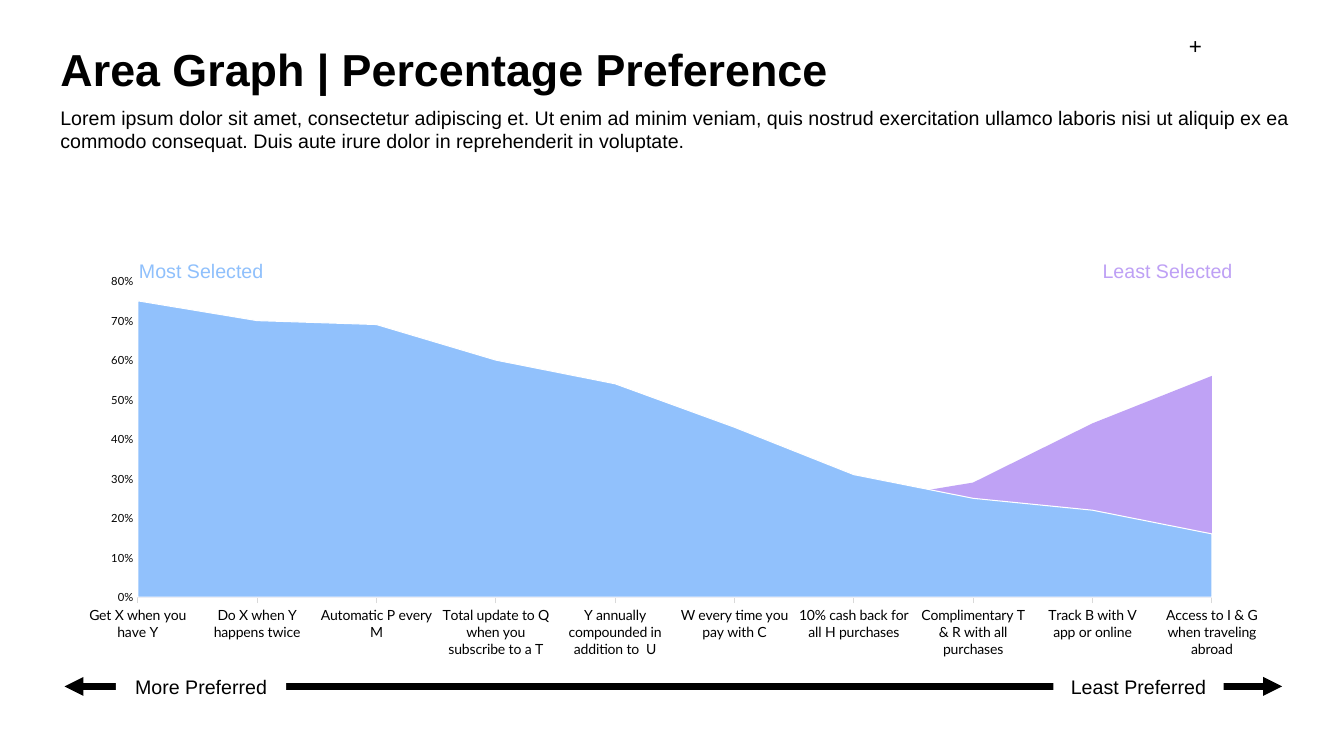
from lxml import etree
from pptx import Presentation
from pptx import util as u
from pptx.chart.data import CategoryChartData
from pptx.dml.color import RGBColor
from pptx.enum import chart as ch, shapes, text
from pptx.oxml import parse_xml
from pptx.oxml.ns import nsdecls, qn

Pt = u.Pt
COLOURS = {
    "ink": "000000",
    "paper": "FFFFFF",
    "axis": "D9D9D9",
    "most": "91C1FC",
    "least": "BFA2F5",
    "most_label": "8FC0FC",
    "least_label": "BEA0F5",
}
PREFERENCES = [
    ("Get X when you have Y", 0.75, 0.05),
    ("Do X when Y happens twice", 0.70, 0.08),
    ("Automatic P every M", 0.69, 0.15),
    ("Total update to Q when you subscribe to a T", 0.60, 0.20),
    ("Y annually compounded in addition to  U", 0.54, 0.08),
    ("W every time you pay with C", 0.43, 0.20),
    ("10% cash back for all H purchases", 0.31, 0.24),
    ("Complimentary T & R with all purchases", 0.25, 0.29),
    ("Track B with V app or online", 0.22, 0.44),
    ("Access to I & G when traveling abroad", 0.16, 0.56),
]
PLOT_AREA = {"x": 0.06, "y": 0.04, "w": 0.88, "h": 0.79}
LOREM = (
    "Lorem ipsum dolor sit amet, consectetur adipiscing et. Ut enim ad minim veniam, "
    "quis nostrud exercitation ullamco laboris nisi ut aliquip ex ea commodo consequat. "
    "Duis aute irure dolor in reprehenderit in voluptate."
)


def colour(name):
    return RGBColor.from_string(COLOURS[name])


def style_font(font, size, name="ink", face="Arial", bold=False):
    font.name = face
    font.size = Pt(size)
    font.bold = bold
    font.color.rgb = colour(name)


def write(shape, words, size, name="ink", align=text.PP_ALIGN.LEFT, bold=False):
    frame = shape.text_frame
    frame.text = words
    frame.word_wrap = True
    frame.auto_size = text.MSO_AUTO_SIZE.NONE
    paragraph = frame.paragraphs[0]
    paragraph.alignment = align
    style_font(paragraph.runs[0].font, size, name, bold=bold)


def add_title(slide, words):
    title = slide.shapes.title
    title.left, title.top, title.width, title.height = Pt(36), Pt(12.2), Pt(828), Pt(77.8)
    write(title, words, 32, bold=True)
    title.text_frame.vertical_anchor = text.MSO_ANCHOR.MIDDLE
    title.text_frame.paragraphs[0].line_spacing = 0.9


def add_text(slide, words, left, top, width, height, size=14, name="ink",
             align=text.PP_ALIGN.LEFT):
    box = slide.shapes.add_textbox(Pt(left), Pt(top), Pt(width), Pt(height))
    write(box, words, size, name, align)


def add_scale_label(slide, words, left):
    label = slide.shapes.add_shape(
        shapes.MSO_SHAPE.RECTANGLE, Pt(left), Pt(482.4), Pt(121.7), Pt(17.3))
    label.shadow.inherit = False
    label.fill.solid()
    label.fill.fore_color.rgb = colour("paper")
    label.line.fill.background()
    write(label, words, 14, align=text.PP_ALIGN.CENTER)
    frame = label.text_frame
    frame.margin_left = frame.margin_right = frame.margin_top = frame.margin_bottom = 0
    frame.vertical_anchor = text.MSO_ANCHOR.TOP


def add_double_arrow(slide, left, right, top):
    arrow = slide.shapes.add_connector(
        shapes.MSO_CONNECTOR.STRAIGHT, Pt(left), Pt(top), Pt(right), Pt(top))
    arrow.line.color.rgb = colour("ink")
    arrow.line.width = Pt(4.5)
    line = arrow.line._get_or_add_ln()
    for end in ("a:headEnd", "a:tailEnd"):
        etree.SubElement(line, qn(end)).set("type", "triangle")
    etree.SubElement(arrow._element.spPr, qn("a:effectLst"))


def place_plot_area(chart):
    plot_area = chart._chartSpace.chart.plotArea
    for layout in plot_area.findall(qn("c:layout")):
        plot_area.remove(layout)
    modes = '<c:xMode val="edge"/><c:yMode val="edge"/>'
    sizes = "".join(f'<c:{key} val="{value}"/>' for key, value in PLOT_AREA.items())
    plot_area.insert(0, parse_xml(
        f'<c:layout {nsdecls("c")}><c:manualLayout><c:layoutTarget val="inner"/>'
        f"{modes}{sizes}</c:manualLayout></c:layout>"))


def style_axes(chart):
    categories, values = chart.category_axis, chart.value_axis
    for axis, size in ((categories, 10), (values, 8)):
        axis.has_major_gridlines = False
        axis.minor_tick_mark = ch.XL_TICK_MARK.NONE
        style_font(axis.tick_labels.font, size, face="Lato")
    categories.major_tick_mark = ch.XL_TICK_MARK.OUTSIDE
    categories.format.line.color.rgb = colour("axis")
    categories.format.line.width = Pt(0.75)
    values.major_tick_mark = ch.XL_TICK_MARK.NONE
    values.format.line.fill.background()
    values.minimum_scale, values.maximum_scale, values.major_unit = 0, 0.8, 0.1
    values.tick_labels.number_format = "0%"
    values.tick_labels.number_format_is_linked = False


def add_area_chart(slide):
    names, most, least = zip(*PREFERENCES)
    data = CategoryChartData(number_format="0%")
    data.categories = names
    data.add_series("Series 1", most)
    data.add_series("Series 2", least)
    chart = slide.shapes.add_chart(
        ch.XL_CHART_TYPE.AREA, Pt(46.1), Pt(189.4), Pt(871.9), Pt(285.8), data).chart
    chart.has_legend = False
    chart.has_title = False
    style_font(chart.font, 10)
    chart.plots[0].vary_by_categories = False
    for series, name in zip(chart.plots[0].series, ("most", "least")):
        series.format.fill.solid()
        series.format.fill.fore_color.rgb = colour(name)
    front, back = chart.plots[0].series
    front.format.line.color.rgb = colour("paper")
    front.format.line.width = Pt(0.75)
    back.format.line.fill.background()
    style_axes(chart)
    place_plot_area(chart)


def main():
    presentation = Presentation()
    presentation.slide_width, presentation.slide_height = Pt(960), Pt(540)
    slide = presentation.slides.add_slide(presentation.slide_layouts[5])
    add_title(slide, "Area Graph | Percentage Preference")
    add_text(slide, LOREM, 36, 72, 917.3, 41)
    add_text(slide, "+", 841, 19.4, 25.9, 26.6, 16, align=text.PP_ALIGN.CENTER)
    add_area_chart(slide)
    add_text(slide, "Most Selected", 92.2, 181.4, 113, 24.5, name="most_label")
    add_text(slide, "Least Selected", 780.5, 181.4, 113, 24.5, name="least_label")
    add_double_arrow(slide, 46.1, 915.8, 490.3)
    add_scale_label(slide, "More Preferred", 82.8)
    add_scale_label(slide, "Least Preferred", 752.4)
    presentation.save("out.pptx")


if __name__ == "__main__":
    main()
